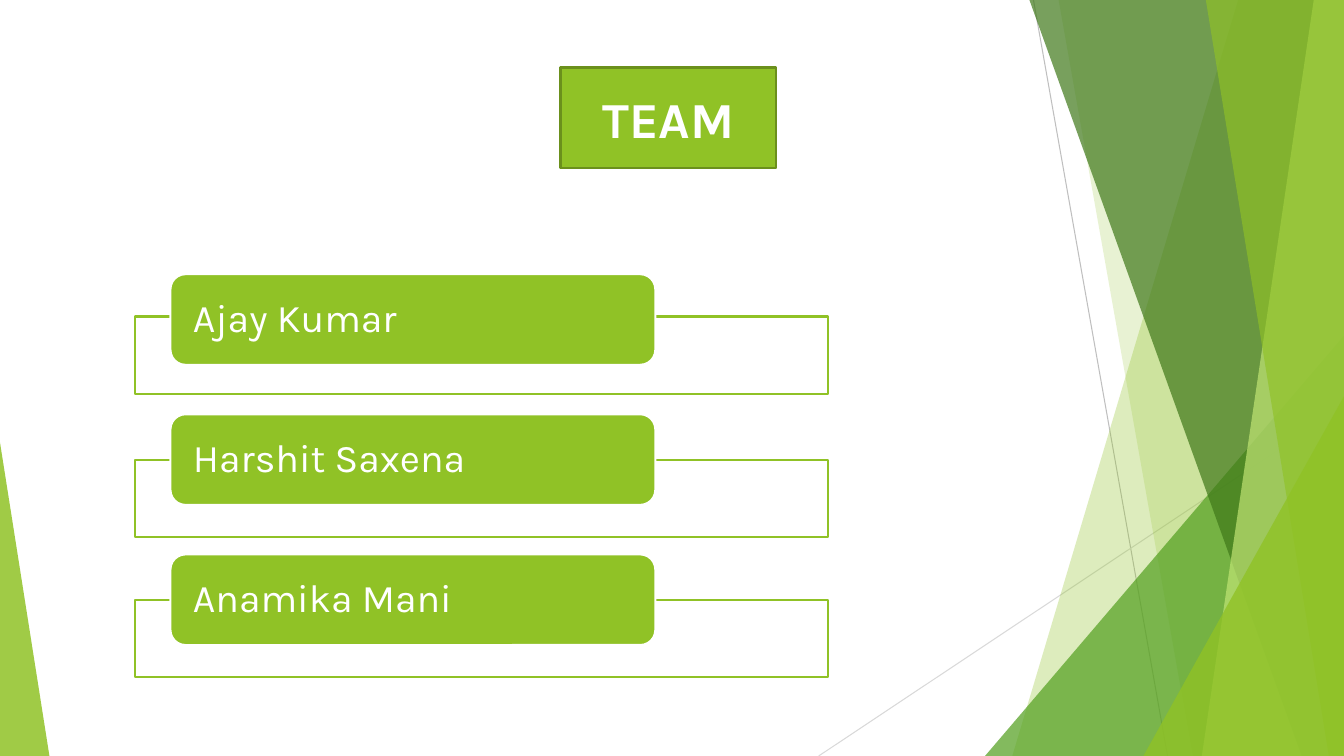
from pptx import Presentation
from pptx.dml.color import RGBColor
from pptx.enum.shapes import MSO_CONNECTOR, MSO_SHAPE
from pptx.enum.text import MSO_ANCHOR, PP_ALIGN
from pptx.oxml.ns import qn
from pptx.util import Inches, Pt
from lxml.etree import SubElement

# Content
TITLE = "TEAM"
# name, top of its frame
TEAM = [("Ajay Kumar", 3.14), ("Harshit Saxena", 4.56), ("Anamika Mani", 5.95)]

THEME = {
    "font": "Karla", "title": 36, "name": 28, "edge": 1.5, "hair": 0.75,
    "lime": "90C226", "olive": "6B901C", "green": "54A021", "dark": "3F7819",
    "pale": "C0E474", "white": "FFFFFF", "gray": "BFBFBF", "mist": "D9D9D9",
}
WIDE, HIGH = 13.33, 7.5

# Backdrop: start, end, colour
LINES = [((10.25, 0), (11.58, HIGH), "gray"), ((WIDE, 4.03), (8.12, HIGH), "mist")]
# Back to front. Band: top x, bottom x; peak: left, top, width, apex
FACETS = [
    ("band", (12.28, 10.04), "lime", 30),
    ("band", (10.5, 11.83), "lime", 20),
    ("peak", (9.77, 3.33, 3.56, 1), "green", 72),
    ("band", (10.21, 12.91), "dark", 70),
    ("band", (13.03, 11.92), "pale", 70),
    ("band", (11.96, 13.18), "lime", 65),
    ("peak", (11.34, 3.93, 1.99, 1), "lime", 80),
    ("peak", (0, 4.39, 0.49, 0), "lime", 85),
]

# Layout of the name list
FRAME = {"left": 1.34, "width": 6.87, "height": 0.77}
PILL = {"left": 1.69, "top": 2.72, "width": 4.81, "height": 0.9, "step": 1.39}

deck = Presentation()
deck.slide_width, deck.slide_height = Inches(WIDE), Inches(HIGH)
slide = deck.slides.add_slide(deck.slide_layouts[6])
shapes = slide.shapes


def tint(name):
    return RGBColor.from_string(THEME[name])


def paint(shape, fill, alpha=100, line=None):
    shape.shadow.inherit = False
    shape.fill.solid()
    shape.fill.fore_color.rgb = tint(fill)
    if alpha < 100:
        color = shape.fill._xPr.find(qn("a:solidFill"))[0]
        SubElement(color, qn("a:alpha")).set("val", str(alpha * 1000))
    if line:
        shape.line.color.rgb = tint(line)
        shape.line.width = Pt(THEME["edge"])
    else:
        shape.line.fill.background()
    return shape


def block(kind, left, top, width, height, **style):
    box = map(Inches, (left, top, width, height))
    return paint(shapes.add_shape(kind, *box), **style)


def write(shape, text, size, bold=False, align=PP_ALIGN.LEFT, inset=0.1, space=1.0):
    frame = shape.text_frame
    frame.word_wrap = True
    frame.vertical_anchor = MSO_ANCHOR.MIDDLE
    frame.margin_left = frame.margin_right = Inches(inset)
    para = frame.paragraphs[0]
    para.alignment = align
    para.line_spacing = space
    run = para.add_run()
    run.text = text
    run.font.name = THEME["font"]
    run.font.size = Pt(THEME[size])
    run.font.bold = bold
    run.font.color.rgb = tint("white")


# Thin lines
for start, end, color in LINES:
    line = shapes.add_connector(MSO_CONNECTOR.STRAIGHT, *map(Inches, start + end))
    line.line.color.rgb = tint(color)
    line.line.width = Pt(THEME["hair"])
    SubElement(line._element.spPr, qn("a:effectLst"))

# Facets
for kind, spot, color, alpha in FACETS:
    if kind == "band":
        head, foot = spot
        path = shapes.build_freeform(Inches(head), 0)
        rest = [(WIDE, 0), (WIDE, HIGH), (foot, HIGH)]
        path.add_line_segments([(Inches(x), Inches(y)) for x, y in rest])
        paint(path.convert_to_shape(), color, alpha)
    else:
        left, top, width, apex = spot
        peak = block(MSO_SHAPE.ISOSCELES_TRIANGLE, left, top, width, HIGH - top,
                     fill=color, alpha=alpha)
        peak.adjustments[0] = apex

# Title
title = block(MSO_SHAPE.RECTANGLE, 5.56, 0.67, 2.14, 1, fill="lime", line="olive")
write(title, TITLE, "title", bold=True, align=PP_ALIGN.CENTER)

# Names
for i, (name, top) in enumerate(TEAM):
    block(MSO_SHAPE.RECTANGLE, FRAME["left"], top, FRAME["width"], FRAME["height"],
          fill="white", alpha=90, line="lime")
    pill = block(MSO_SHAPE.ROUNDED_RECTANGLE, PILL["left"], PILL["top"] + i * PILL["step"],
                 PILL["width"], PILL["height"], fill="lime", line="white")
    write(pill, name, "name", inset=0.18, space=0.9)

deck.save("out.pptx")
